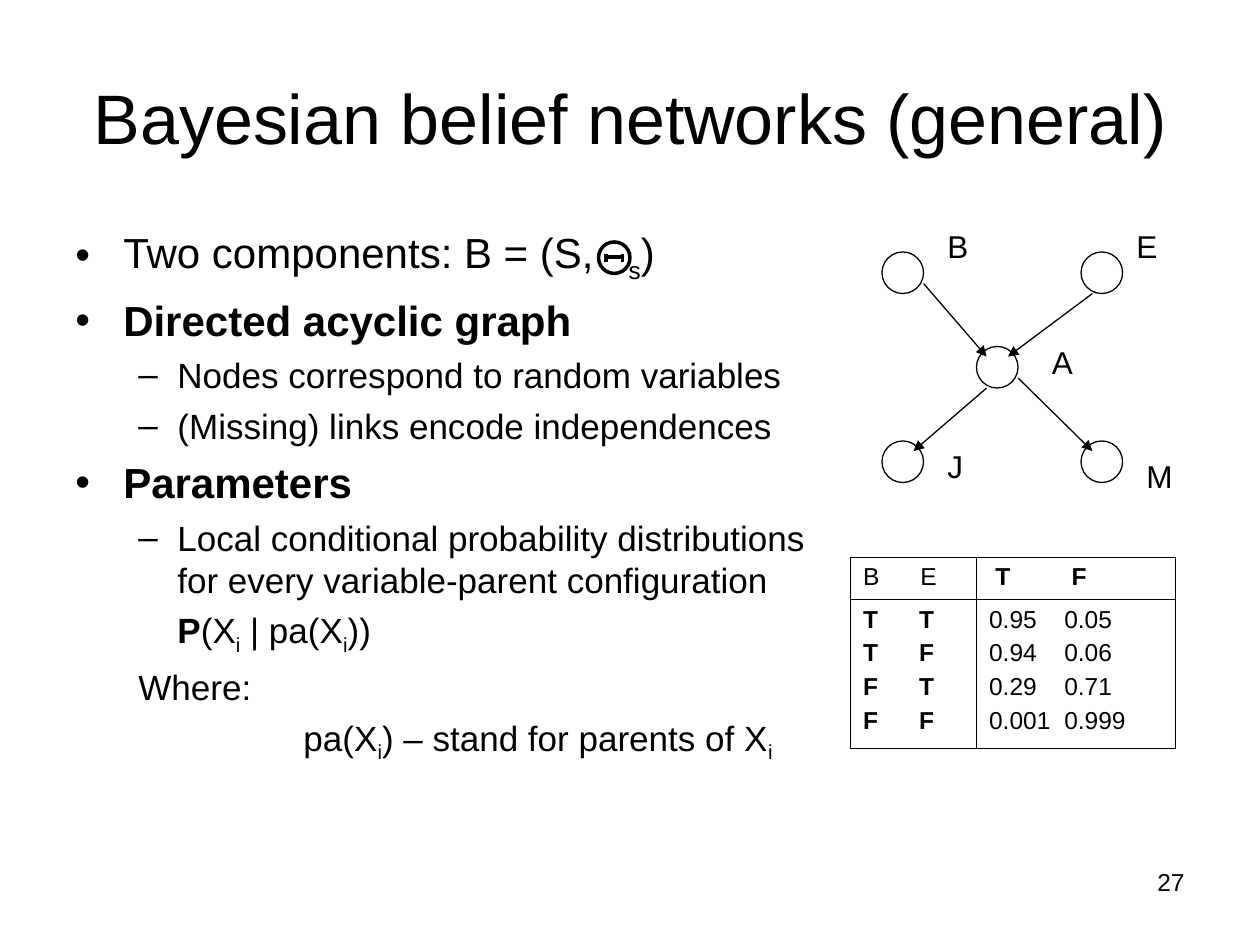
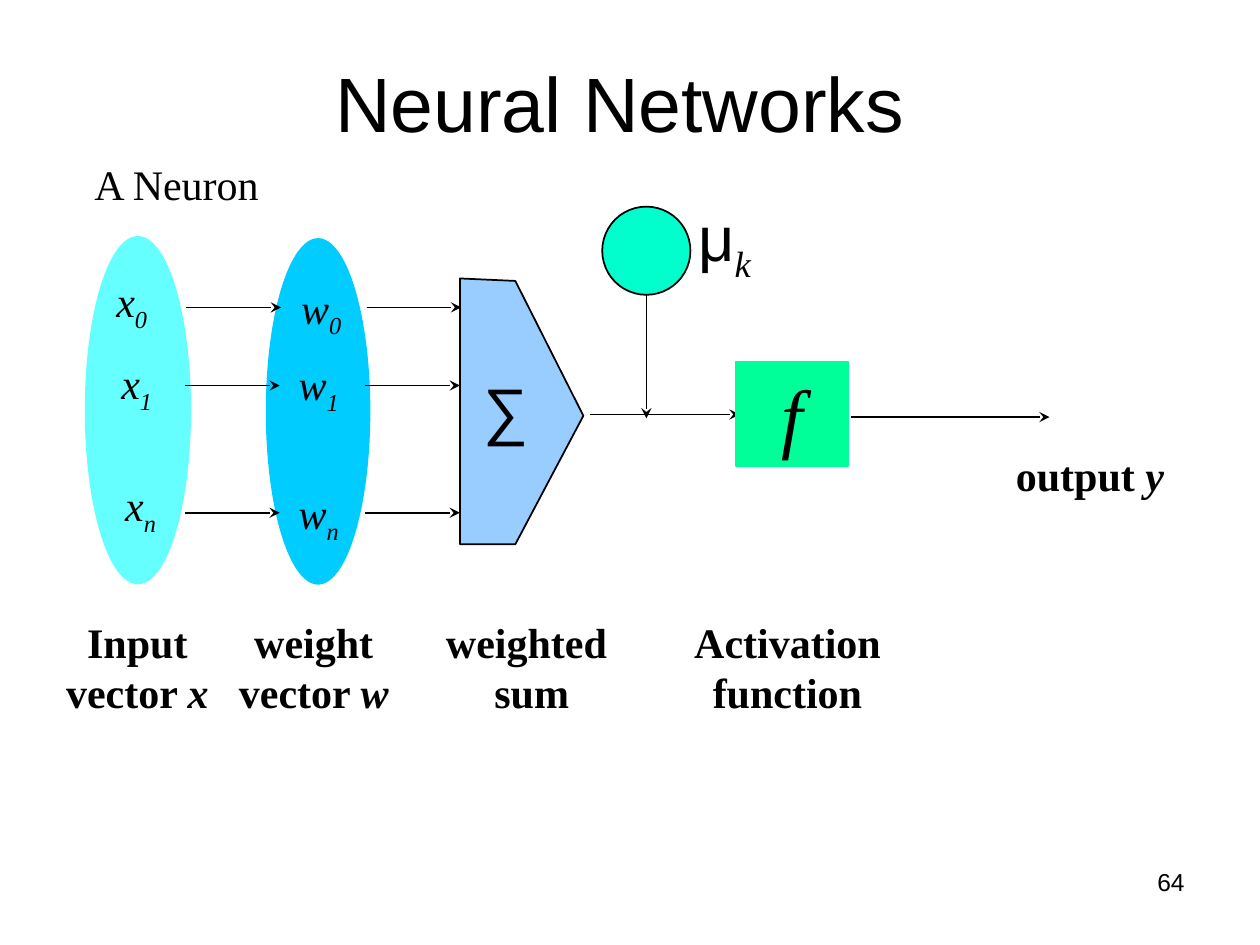
import lxml.etree
import pptx
import pptx.dml.color
import pptx.enum.shapes
import pptx.enum.text
import pptx.oxml.ns
import pptx.util

Inches = pptx.util.Inches
Pt = pptx.util.Pt
qn = pptx.oxml.ns.qn
add = lxml.etree.SubElement
rgb = pptx.dml.color.RGBColor.from_string
FORM = pptx.enum.shapes.MSO_SHAPE
ALIGN = pptx.enum.text.PP_ALIGN
ANCHOR = pptx.enum.text.MSO_ANCHOR

HUE = {"ink": "000000", "input": "66FFFF", "weight": "00CCFF", "sum": "99CCFF",
       "bias": "00FFCC", "active": "00FF99"}
SANS, SERIF = "Arial", "Times New Roman"
MARK = {"b": {"bold": True}, "i": {"italic": True}, "t": {"name": SERIF}, "s": {}}


def write(frame, runs, look):
    first = not frame.text
    para = frame.paragraphs[0] if first else frame.add_paragraph()
    props = para._p.get_or_add_pPr()
    props.set("marL", str(Inches(look.get("left", 0))))
    props.set("indent", str(Inches(-look.get("hang", 0))))
    if "dot" in look:
        add(props, qn("a:buFont")).set("typeface", SANS)
        add(props, qn("a:buChar")).set("char", look["dot"])
    else:
        add(props, qn("a:buNone"))
    para.alignment = look.get("align", ALIGN.LEFT)
    para.space_before = Pt(0 if first else look.get("gap", 0))
    for text, marks, *wide in runs:
        run = para.add_run()
        run.text = text
        font = {"size": Pt(look["size"]), "name": look.get("name", SANS)}
        for mark in marks:
            font.update(MARK[mark])
        for key, value in font.items():
            setattr(run.font, key, value)
        run.font.color.rgb = rgb(HUE["ink"])
        props = run._r.get_or_add_rPr()
        if "s" in marks:
            props.set("baseline", "-25000")
        if wide:
            props.set("spc", str(round(wide[0] * 100)))


def link(page, ends, width, head=None):
    line = page.shapes.add_connector(
        pptx.enum.shapes.MSO_CONNECTOR.STRAIGHT, *[Inches(n) for n in ends])
    line.line.color.rgb = rgb(HUE["ink"])
    line.line.width = Pt(width)
    props = line._element.spPr
    if head:
        add(props.find(qn("a:ln")), qn("a:tailEnd")).set("type", head)
    add(props, qn("a:effectLst"))


deck = pptx.Presentation()
deck.slide_width, deck.slide_height = Inches(10), Inches(7.5)
belief, neural = [deck.slides.add_slide(deck.slide_layouts[6]) for n in range(2)]

link(neural, (4.68, 3.29, 5.87, 3.29), 1, "stealth")

shapes = [(belief, FORM.OVAL, (x, y, 0.33, 0.33), None, "ink", 0.75)
          for x, y in [(7, 2), (8.58, 2), (8.58, 3.5), (7, 3.5), (7.75, 2.75)]]
shapes += [
    (belief, FORM.OVAL, (4.75, 1.92, 0.25, 0.25), None, "ink", 2),
    (neural, FORM.OVAL, (2.11, 1.89, 0.83, 2.75), "weight", None, 0),
    (neural, FORM.OVAL, (0.68, 1.88, 0.83, 2.75), "input", "input", 1),
    (neural, FORM.OVAL, (4.78, 1.64, 0.7, 0.7), "bias", "ink", 1),
    (neural, FORM.RECTANGLE, (5.84, 2.87, 0.89, 0.83), "active", "active", 1),
]
made = [page.shapes.add_shape(form, *[Inches(n) for n in box])
        for page, form, box, *rest in shapes]
active = made[-1]

pen = neural.shapes.build_freeform(365, 221, Inches(0.01))
pen.add_line_segments([(365, 432), (409, 432), (463, 330), (409, 223)])
made.append(pen.convert_to_shape())

paints = [item[3:] for item in shapes] + [("sum", "ink", 1)]
for shape, (fill, edge, width) in zip(made, paints):
    shape.shadow.inherit = False
    if fill:
        shape.fill.solid()
        shape.fill.fore_color.rgb = rgb(HUE[fill])
    else:
        shape.fill.background()
    if edge:
        shape.line.color.rgb = rgb(HUE[edge])
        shape.line.width = Pt(width)
    else:
        shape.line.fill.background()

active.text_frame.vertical_anchor = ANCHOR.TOP
write(active.text_frame, [("f", "i")], {"size": 44, "name": SERIF, "align": ALIGN.CENTER})

for ends in [(7.33, 2.25, 7.83, 2.83), (8.67, 2.33, 8, 2.83),
             (7.83, 3.08, 7.25, 3.58), (8.08, 3, 8.67, 3.58)]:
    link(belief, ends, 0.75, "triangle")
for ends in [(4.81, 2.02, 4.81, 2.08), (4.94, 2.02, 4.94, 2.08), (4.81, 2.04, 4.94, 2.04)]:
    link(belief, ends, 2)
for y, shift in [(2.44, 0.01), (3.06, 0), (4.07, 0)]:
    for x in (1.47, 2.9):
        link(neural, (x + shift, y, x + shift + 0.75, y), 1, "stealth")
for ends in [(6.75, 3.31, 8.33, 3.31), (5.13, 2.34, 5.13, 3.32)]:
    link(neural, ends, 1, "stealth")

foot = {"size": 14, "align": ALIGN.RIGHT}
head = {"size": 40, "align": ALIGN.CENTER, "anchor": ANCHOR.MIDDLE}
label = {"size": 18}
sign = {"size": 36, "align": ALIGN.CENTER}
term = {"size": 24, "name": SERIF, "align": ALIGN.CENTER}

texts = [
    (belief, (0.5, 0.3, 9, 1.25), [[("Bayesian belief networks (general)", "")]], head),
    (neural, (1.25, 0.33, 7.34, 0.89), [[("Neural Networks", "")]],
     {**head, "size": 44, "anchor": ANCHOR.BOTTOM}),
    (neural, (5.44, 1.53, 0.62, 0.78), [[("μ", ""), ("k", "its")]], sign),
    (neural, (3.74, 2.89, 0.55, 0.7), [[("∑", "")]], sign),
    (neural, (0.65, 1.21, 1.52, 0.5), [[("A Neuron", "")]], {"size": 24, "name": SERIF}),
    (neural, (7.96, 3.52, 1.38, 0.5), [[("output ", "b"), ("y", "bi")]], term),
]
for page, number in [(belief, "27"), (neural, "64")]:
    texts.append((page, (7.17, 6.83, 2.33, 0.52), [[(number, "")]], foot))
for name, x, y in [("B", 7.42, 1.75), ("E", 8.92, 1.75), ("A", 8.25, 2.67),
                   ("J", 7.42, 3.5), ("M", 9, 3.58)]:
    texts.append((belief, (x, y, 0.42, 0.4), [[(name, "")]], label))
for name, x, y, wide in [("x0", 0.82, 2.14, 0.45), ("x1", 0.86, 2.79, 0.45),
                         ("xn", 0.89, 3.76, 0.45), ("w0", 2.29, 2.19, 0.52),
                         ("w1", 2.27, 2.8, 0.52), ("wn", 2.27, 3.82, 0.52)]:
    texts.append((neural, (x, y, wide, 0.56), [[(name[0], "i"), (name[1], "is")]], term))
for x, wide, rows in [
    (0.42, 1.34, [[("Input", "b")], [("vector ", "b"), ("x", "bi")]]),
    (1.79, 1.4, [[("weight", "b")], [("vector ", "b"), ("w", "bi")]]),
    (3.44, 1.56, [[("weighted ", "b")], [("sum", "b")]]),
    (5.41, 1.68, [[("Activation", "b")], [("function", "b")]]),
]:
    texts.append((neural, (x, 4.84, wide, 0.9), rows, term))

for page, box, rows, look in texts:
    frame = page.shapes.add_textbox(*[Inches(n) for n in box]).text_frame
    frame.word_wrap = look.get("align") != ALIGN.CENTER
    frame.vertical_anchor = look.get("anchor", ANCHOR.TOP)
    for runs in rows:
        write(frame, runs, look)

main = {"size": 24, "left": 0.38, "hang": 0.38, "gap": 6, "dot": "•"}
plain = {"size": 20, "left": 0.81, "hang": 0.31, "gap": 5}
point = {**plain, "dot": "–"}
body = belief.shapes.add_textbox(Inches(0.5), Inches(1.75), Inches(6.25), Inches(4.95)).text_frame
body.word_wrap = True
for look, runs in [
    (main, [("Two components: B = (S,", ""), (" ", "", 13.3), ("s", "s"), (")", "")]),
    (main, [("Directed acyclic graph", "b")]),
    (point, [("Nodes correspond to random variables", "")]),
    (point, [("(Missing) links encode independences", "")]),
    (main, [("Parameters", "b")]),
    (point, [("Local conditional probability distributions "
              "for every variable-parent configuration", "")]),
    ({**plain, "hang": 0}, [("P", "b"), ("(X", ""), ("i", "s"), (" | pa(X", ""),
                            ("i", "s"), ("))", "")]),
    (plain, [("Where:", "")]),
    ({**plain, "left": 1.81, "hang": 0},
     [("pa(X", ""), ("i", "s"), (") – stand for parents of X", ""), ("i", "s")]),
]:
    write(body, runs, look)

grid = belief.shapes.add_table(2, 2, Inches(6.75), Inches(4.42), Inches(2.58), Inches(1.52)).table
grid.first_row = grid.horz_banding = False
for col, wide in zip(grid.columns, (1, 1.58)):
    col.width = Inches(wide)
for row, high in zip(grid.rows, (0.34, 1.18)):
    row.height = Inches(high)
cells = [
    (0, 0, "", 0, [("B", "E", 19.5)]),
    (0, 1, "b", 0.05, [("T", "F", 31.1)]),
    (1, 0, "b", 0, [(b, e, 19.5) for b in "TF" for e in "TF"]),
    (1, 1, "", 0, [("0.95", "0.05", 11.7), ("0.94", "0.06", 11.7),
                   ("0.29", "0.71", 11.7), ("0.001", "0.999", 3.9)]),
]
for row, col, marks, left, pairs in cells:
    cell = grid.cell(row, col)
    for one, two, wide in pairs:
        write(cell.text_frame, [(one, marks), (" ", marks, wide), (two, marks)],
              {"size": 14, "gap": 3.5, "left": left})
    props = cell._tc.get_or_add_tcPr()
    for side in ("a:lnL", "a:lnR", "a:lnT", "a:lnB"):
        edge = add(props, qn(side))
        edge.set("w", str(Pt(0.45)))
        add(add(edge, qn("a:solidFill")), qn("a:srgbClr")).set("val", HUE["ink"])
    cell.fill.background()

deck.save("out.pptx")
